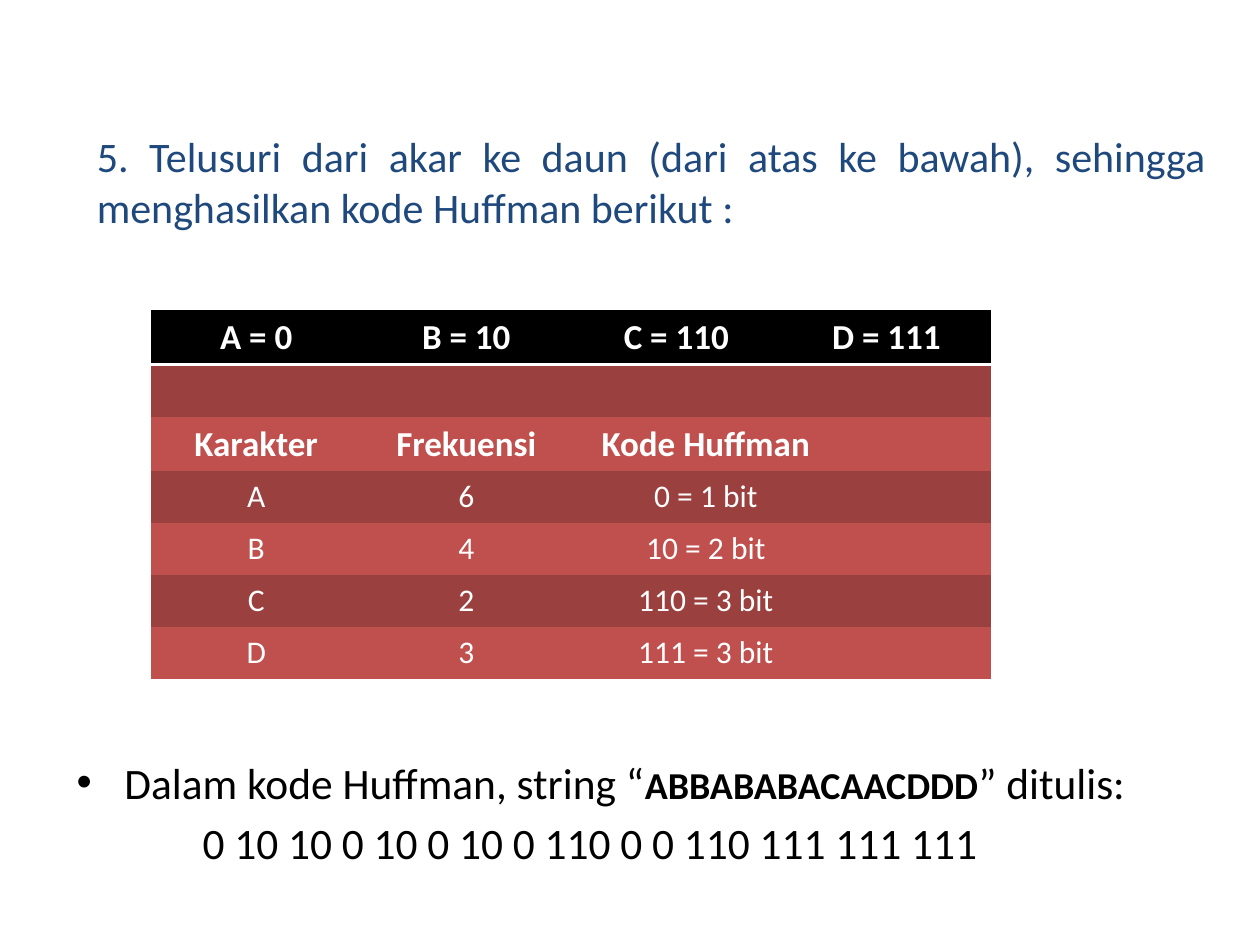
from lxml import etree
from pptx import Presentation
from pptx.dml.color import RGBColor
from pptx.enum.text import PP_ALIGN
from pptx.oxml.ns import qn
from pptx.util import Inches, Pt

CENTER, JUSTIFY, LEFT = PP_ALIGN.CENTER, PP_ALIGN.JUSTIFY, PP_ALIGN.LEFT
BLACK = RGBColor(0x00, 0x00, 0x00)
WHITE = RGBColor(0xFF, 0xFF, 0xFF)
NAVY = RGBColor(0x1F, 0x49, 0x7D)
RED = RGBColor(0xC0, 0x50, 0x4D)
DARK_RED = RGBColor(0x9A, 0x40, 0x3E)

FONT = "Calibri"
PLAIN_TABLE_STYLE = "{2D5ABB26-0587-4C30-8999-92F81FD0307C}"
WIDTH, HEIGHT = Inches(10), Inches(7.5)
COLUMN_SHARES = [0.25, 0.25, 0.25, 0.07, 0.18]
CODES = ["A = 0", "B = 10", "C = 110", "D = 111"]
HEADINGS = ["Karakter", "Frekuensi", "Kode Huffman"]
CHARACTERS = [
    ["A", "6", "0 = 1 bit"],
    ["B", "4", "10 = 2 bit"],
    ["C", "2", "110 = 3 bit"],
    ["D", "3", "111 = 3 bit"],
]


def write(paragraph, text, size=24, color=BLACK, bold=False, align=LEFT):
    paragraph.alignment = align
    run = paragraph.add_run()
    run.text = text
    run.font.name = FONT
    run.font.size = Pt(size)
    run.font.bold = bold
    run.font.color.rgb = color


def add_text_frame(slide, left, top, width, height):
    box = slide.shapes.add_textbox(
        int(left * WIDTH), int(top * HEIGHT), int(width * WIDTH), int(height * HEIGHT)
    )
    box.text_frame.word_wrap = True
    return box.text_frame


def indent(paragraph, margin, first_line=0.0, bullet=None):
    properties = paragraph._p.get_or_add_pPr()
    properties.set("marL", str(Inches(margin)))
    properties.set("indent", str(Inches(first_line)))
    if bullet:
        etree.SubElement(properties, qn("a:buFont"), typeface="Arial")
        etree.SubElement(properties, qn("a:buChar"), char=bullet)


def underline_cell(cell, color, points):
    border = etree.Element(qn("a:lnB"), w=str(Pt(points)))
    fill = etree.SubElement(border, qn("a:solidFill"))
    etree.SubElement(fill, qn("a:srgbClr"), val=str(color))
    cell._tc.get_or_add_tcPr().insert(0, border)


def fill_row(table, row, texts, fill, merged=None, **style):
    if merged:
        first, last = merged
        table.cell(row, first).merge(table.cell(row, last))
    for cell in table.rows[row].cells:
        cell.fill.solid()
        cell.fill.fore_color.rgb = fill
    for column, text in enumerate(texts):
        paragraph = table.cell(row, column).text_frame.paragraphs[0]
        write(paragraph, text, color=WHITE, align=CENTER, **style)


def add_code_table(slide):
    row_count = 3 + len(CHARACTERS)
    table_width = int(0.667 * WIDTH)
    frame = slide.shapes.add_table(
        row_count, len(COLUMN_SHARES), int(0.12 * WIDTH), int(0.328 * HEIGHT),
        table_width, int(0.385 * HEIGHT),
    )
    table = frame.table
    table._tbl.tblPr.find(qn("a:tableStyleId")).text = PLAIN_TABLE_STYLE
    for column, share in zip(table.columns, COLUMN_SHARES):
        column.width = int(share * table_width)

    fill_row(table, 0, CODES, BLACK, merged=(3, 4), size=20, bold=True)
    for cell in table.rows[0].cells:
        underline_cell(cell, WHITE, 2)
    fill_row(table, 1, [], DARK_RED, merged=(0, 4))
    fill_row(table, 2, HEADINGS, RED, merged=(2, 3), size=20, bold=True)
    for row, texts in enumerate(CHARACTERS, start=3):
        band = DARK_RED if row % 2 else RED
        fill_row(table, row, texts, band, merged=(2, 3), size=18)


def add_step(slide):
    step = add_text_frame(slide, 0.067, 0.132, 0.9, 0.13)
    write(
        step.paragraphs[0],
        "5. Telusuri dari akar ke daun (dari atas ke bawah), sehingga "
        "menghasilkan kode Huffman berikut :",
        color=NAVY, align=JUSTIFY,
    )


def add_encoded_string(slide):
    frame = add_text_frame(slide, 0.051, 0.793, 0.9, 0.13)
    sentence = frame.paragraphs[0]
    indent(sentence, 0.38, -0.38, bullet="•")
    write(sentence, "Dalam kode Huffman, string “", size=24.8)
    write(sentence, "ABBABABACAACDDD", size=21.7, bold=True)
    write(sentence, "” ditulis:", size=24.8)
    encoded = frame.add_paragraph()
    indent(encoded, 1)
    encoded.space_before = Pt(5)
    write(encoded, "0 10 10 0 10 0 10 0 110 0 0 110 111 111 111", size=24.8)


def main():
    deck = Presentation()
    deck.slide_width, deck.slide_height = WIDTH, HEIGHT
    slide = deck.slides.add_slide(deck.slide_layouts[6])
    add_encoded_string(slide)
    add_step(slide)
    add_code_table(slide)
    deck.save("out.pptx")


if __name__ == "__main__":
    main()
